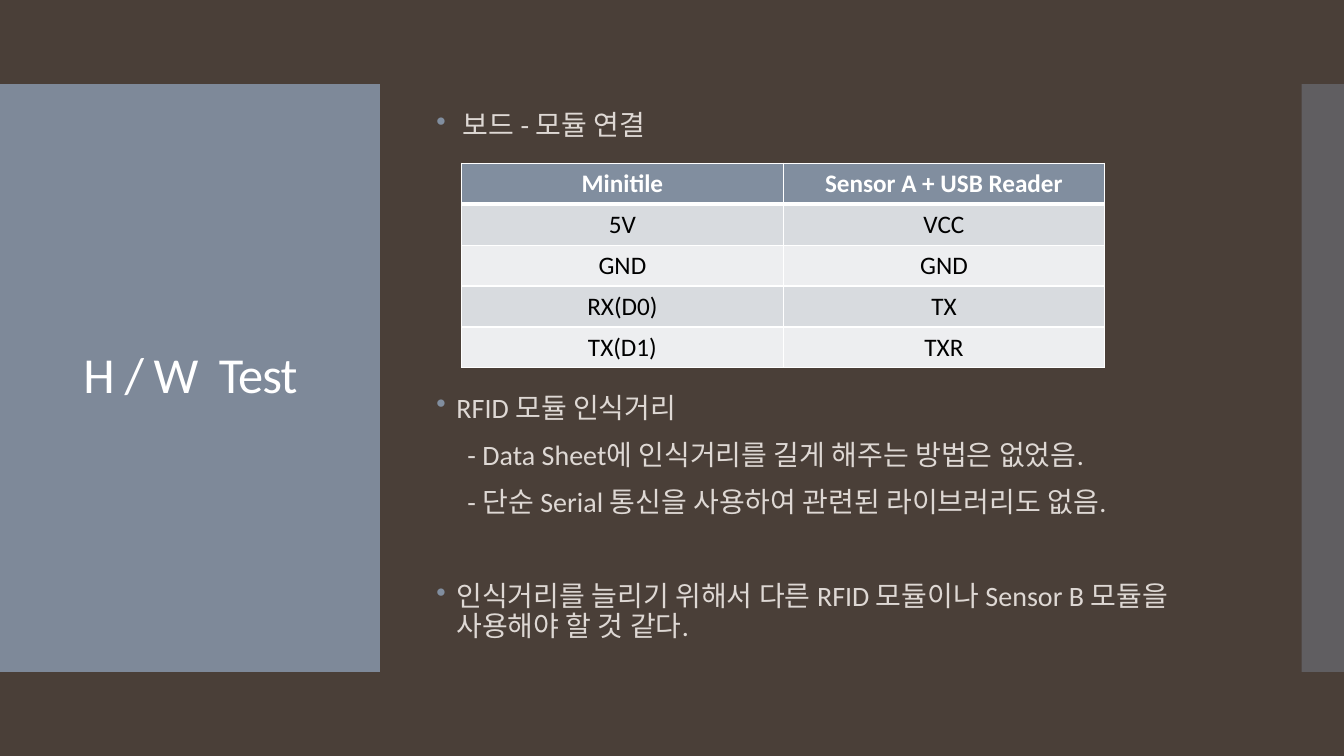
from pptx import Presentation
from pptx.dml.color import RGBColor
from pptx.enum.shapes import MSO_SHAPE as Shape
from pptx.enum.text import MSO_ANCHOR as Anchor, PP_ALIGN as Align
from pptx.oxml import parse_xml
from pptx.oxml.ns import nsdecls
from pptx.util import Inches, Pt

BROWN = RGBColor(0x4A, 0x3F, 0x38)
SLATE = RGBColor(0x81, 0x8E, 0x9F)
SAND = RGBColor(0xDE, 0xD8, 0xD4)
BAND_DARK = RGBColor(0xD8, 0xDB, 0xDF)
BAND_LIGHT = RGBColor(0xED, 0xEE, 0xF0)
WHITE = RGBColor(0xFF, 0xFF, 0xFF)
BLACK = RGBColor(0, 0, 0)

W, H = Inches(13.333), Inches(7.5)
PANEL_TOP, PANEL_HEIGHT = H / 9, H * 7 / 9
LINE_PITCH, LINE_GAP = 33.6, 12
HANG = Inches(0.2)
DASH_INDENT = Inches(0.31)

PINS = [
    ("Minitile", "Sensor A + USB Reader"),
    ("5V", "VCC"),
    ("GND", "GND"),
    ("RX(D0)", "TX"),
    ("TX(D1)", "TXR"),
]
NOTES = [
    (" 보드 - 모듈 연결", True, 0),
    ("RFID 모듈 인식거리", True, 5),
    ("- Data Sheet에 인식거리를 길게 해주는 방법은 없었음.", False, 0),
    ("- 단순 Serial 통신을 사용하여 관련된 라이브러리도 없음.", False, 0),
    ("인식거리를 늘리기 위해서 다른 RFID 모듈이나 Sensor B 모듈을 사용해야 할 것 같다.", True, 1),
]


def element(tag, attrs="", inner=""):
    return parse_xml(f"<a:{tag} {nsdecls('a')} {attrs}>{inner}</a:{tag}>")


def add_panel(s, left, width, opacity):
    sp = s.shapes.add_shape(Shape.RECTANGLE, int(left), int(PANEL_TOP), int(width), int(PANEL_HEIGHT))
    sp.shadow.inherit = False
    sp.line.fill.background()
    sp.fill.solid()
    sp.fill.fore_color.rgb = SLATE
    color = sp.fill._xPr.find(".//{*}srgbClr")
    color.append(element("alpha", f'val="{opacity * 1000}"'))


def add_text(s, left, top, width, height):
    tf = s.shapes.add_textbox(Inches(left), Inches(top), Inches(width), Inches(height)).text_frame
    tf.word_wrap = True
    tf.vertical_anchor = Anchor.MIDDLE
    return tf


def add_run(p, text, size, color, bold=False):
    r = p.add_run()
    r.text = text
    r.font.name = "Calibri"
    r.font.size = Pt(size)
    r.font.color.rgb = color
    r.font.bold = bold
    return r


def add_title(s, text):
    p = add_text(s, 0.28, 1.23, 3.22, 5.03).paragraphs[0]
    p.alignment = Align.CENTER
    p.line_spacing = 0.9
    add_run(p, text, 36, WHITE).font._element.set("spc", "-60")


def set_bullet(p):
    pPr = p._p.get_or_add_pPr()
    pPr.append(element("buClr", "", f'<a:srgbClr val="{SLATE}"/>'))
    pPr.append(element("buChar", 'char="•"'))


def add_notes(s, notes):
    tf = add_text(s, 4.23, 0.94, 8, 5.6)
    for i, (text, bulleted, rows_above) in enumerate(notes):
        p = tf.add_paragraph() if i else tf.paragraphs[0]
        p.line_spacing = 0.9
        p.space_before = Pt(LINE_GAP + rows_above * LINE_PITCH)
        pPr = p._p.get_or_add_pPr()
        pPr.set("marL", str(HANG if bulleted else DASH_INDENT))
        pPr.set("indent", str(-HANG if bulleted else 0))
        if bulleted:
            set_bullet(p)
        add_run(p, text, 20, SAND)


def set_borders(cell, widths):
    tcPr = cell._tc.get_or_add_tcPr()
    fill = f'<a:solidFill><a:srgbClr val="{WHITE}"/></a:solidFill>'
    for i, (side, width) in enumerate(widths.items()):
        tcPr.insert(i, element(f"ln{side}", f'w="{Pt(width)}"', fill))


def add_pin_table(s, pins):
    rows, cols = len(pins), len(pins[0])
    table = s.shapes.add_table(rows, cols, Inches(4.58), Inches(1.62), Inches(6.38), Inches(2.03)).table
    for i, pin in enumerate(pins):
        header = i == 0
        for j, text in enumerate(pin):
            cell = table.cell(i, j)
            cell.vertical_anchor = Anchor.TOP
            cell.fill.solid()
            cell.fill.fore_color.rgb = SLATE if header else (BAND_DARK if i % 2 else BAND_LIGHT)
            set_borders(cell, {"L": 1, "R": 1, "T": 3 if i == 1 else 1, "B": 3 if header else 1})
            p = cell.text_frame.paragraphs[0]
            p.alignment = Align.CENTER
            add_run(p, text, 18, WHITE if header else BLACK, header)


def main():
    prs = Presentation()
    prs.slide_width, prs.slide_height = W, H
    s = prs.slides.add_slide(prs.slide_layouts[6])
    s.background.fill.solid()
    s.background.fill.fore_color.rgb = BROWN
    add_panel(s, 0, Inches(3.77), 95)
    add_panel(s, W - Inches(0.42), Inches(0.42), 40)
    add_title(s, "H / W  Test")
    add_notes(s, NOTES)
    add_pin_table(s, PINS)
    prs.save("out.pptx")


main()
